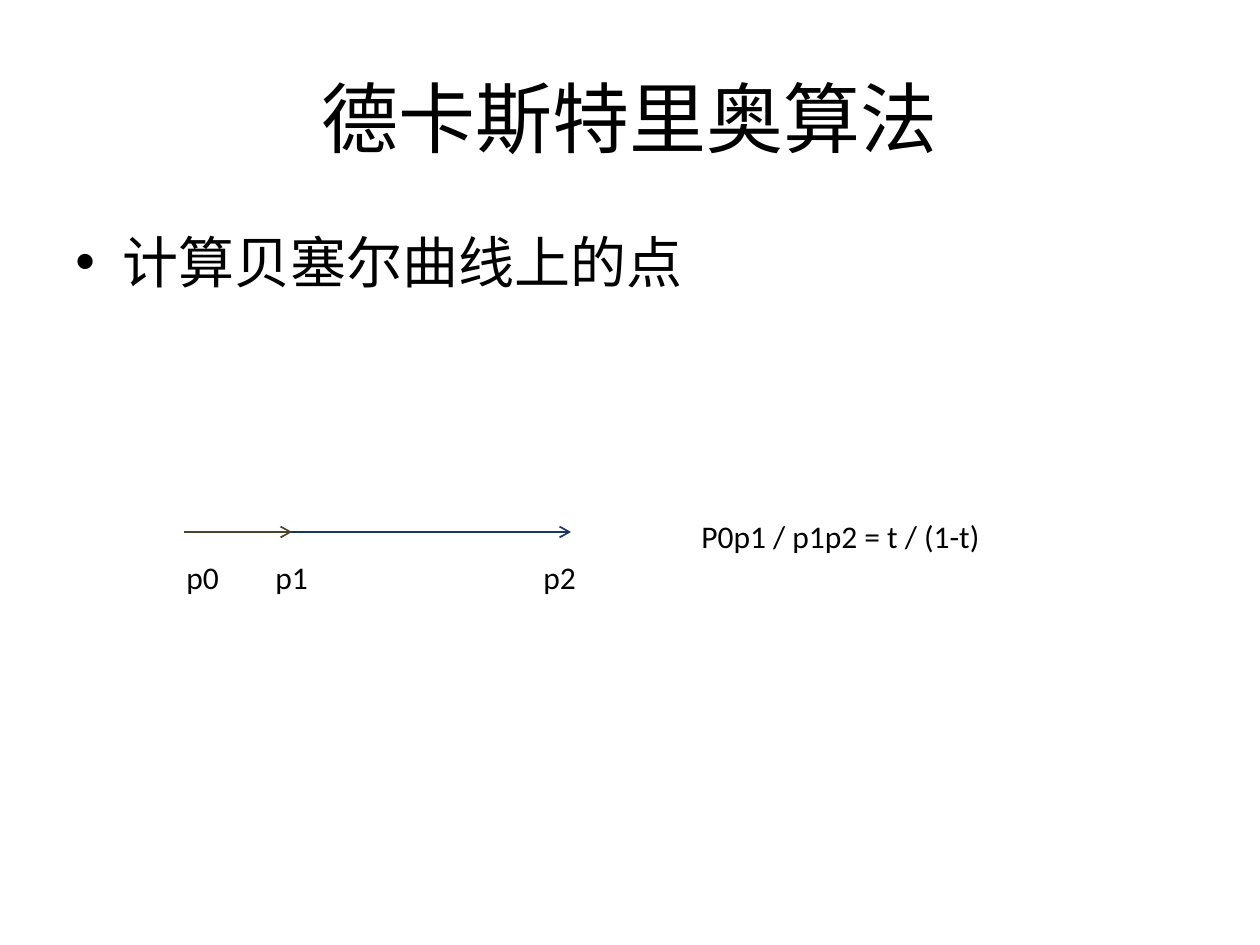
"""Build a slide on the De Casteljau algorithm."""
import dataclasses
import pptx
import pptx.dml.color
import pptx.enum.shapes
import pptx.enum.text
import pptx.oxml
import pptx.oxml.ns
import pptx.util

ALIGN = pptx.enum.text.PP_ALIGN
ANCHOR = pptx.enum.text.MSO_ANCHOR
FIT = pptx.enum.text.MSO_AUTO_SIZE
NS = pptx.oxml.ns.nsdecls("a")


@dataclasses.dataclass(frozen=True)
class Theme:
    font: str = "Calibri"
    ink: str = "000000"
    long: str = "17375E"
    short: str = "4A452A"
    title: int = 44
    body: int = 32
    label: int = 18
    line: int = 1


def px(count):
    return pptx.util.Emu(round(count * 914400 / 126))


def color(code):
    return pptx.dml.color.RGBColor.from_string(code)


def apply(target, values):
    for name, value in values.items():
        setattr(target, name, value)


class Slide:
    def __init__(self, deck, theme):
        self.theme = theme
        self.shapes = deck.slides.add_slide(deck.slide_layouts[6]).shapes

    def text(self, words, box, size, frame=None, para=None):
        body = self.shapes.add_textbox(*map(px, box)).text_frame
        apply(body, {"word_wrap": True, **(frame or {})})
        item = body.paragraphs[0]
        apply(item, para or {})
        run = item.add_run()
        run.text = words
        apply(run.font, {"name": self.theme.font, "size": pptx.util.Pt(size)})
        run.font.color.rgb = color(self.theme.ink)
        return item

    def bullet(self, words, box, size, indent):
        space = pptx.util.Pt(size * 0.2)
        item = self.text(words, box, size, para={"space_before": space})
        props = item._p.get_or_add_pPr()
        props.set("marL", str(px(indent)))
        props.set("indent", str(-px(indent)))
        for mark in ('buFont {} typeface="Arial"', 'buChar {} char="•"'):
            props.append(pptx.oxml.parse_xml(f"<a:{mark.format(NS)}/>"))

    def arrow(self, start, end, row, tint):
        kind = pptx.enum.shapes.MSO_CONNECTOR.STRAIGHT
        line = self.shapes.add_connector(kind, *map(px, (start, row, end, row)))
        line.line.width = pptx.util.Pt(self.theme.line)
        line.line.color.rgb = color(tint)
        tail = pptx.oxml.parse_xml(f'<a:tailEnd {NS} type="arrow"/>')
        line.line._get_or_add_ln().append(tail)
        props = line._element.spPr
        props.append(pptx.oxml.parse_xml(f"<a:effectLst {NS}/>"))


def main():
    deck = pptx.Presentation()
    apply(deck, {"slide_width": px(1260), "slide_height": px(945)})
    theme = Theme()
    slide = Slide(deck, theme)
    slide.text("德卡斯特里奥算法", (63, 38, 1134, 158), theme.title,
               {"vertical_anchor": ANCHOR.MIDDLE}, {"alignment": ALIGN.CENTER})
    slide.bullet("计算贝塞尔曲线上的点", (63, 221, 1134, 624), theme.body, 47)
    for end, tint in ((571, theme.long), (292, theme.short)):
        slide.arrow(184, end, 532, tint)
    grow = {"auto_size": FIT.SHAPE_TO_FIT_TEXT}
    for index, left in enumerate((174, 263, 531)):
        slide.text(f"p{index}", (left, 552, 58, 51), theme.label,
                   {**grow, "word_wrap": False})
    slide.text("P0p1 / p1p2 = t / (1-t)", (689, 511, 357, 51), theme.label, grow)
    deck.save("out.pptx")


main()
